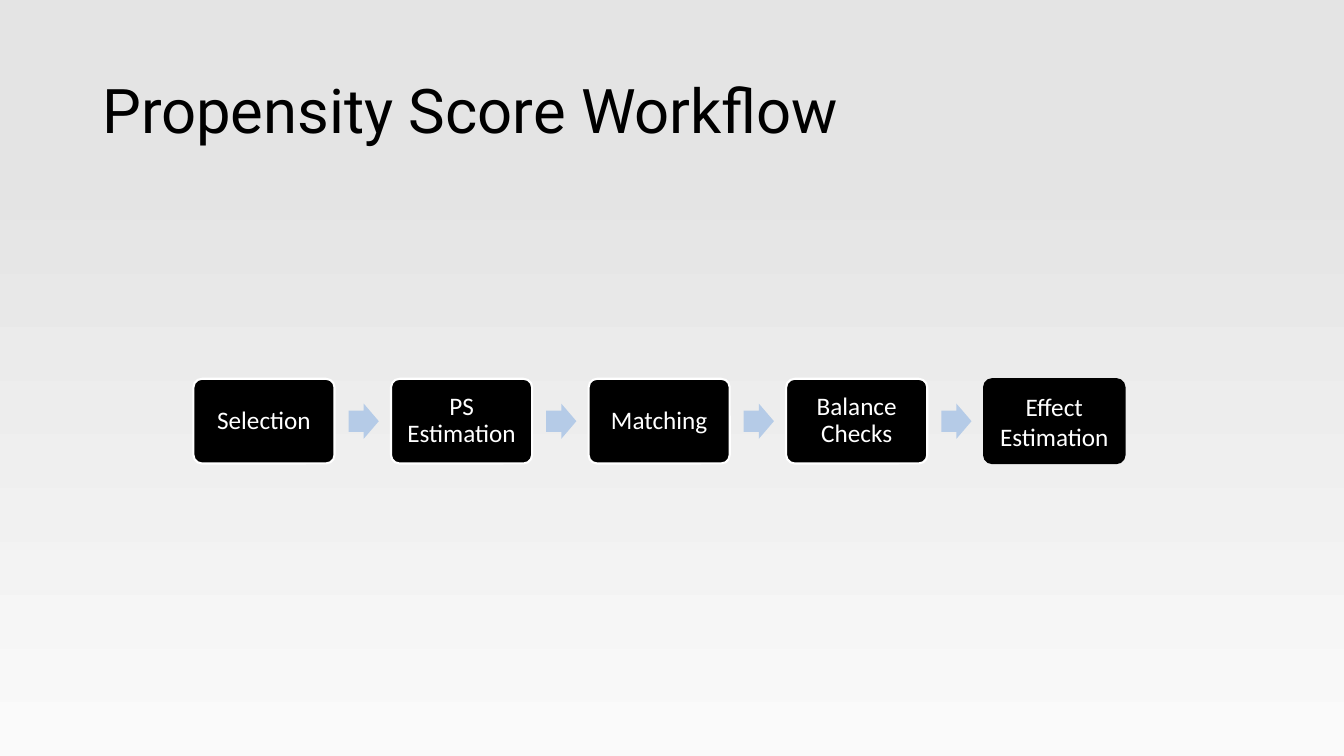
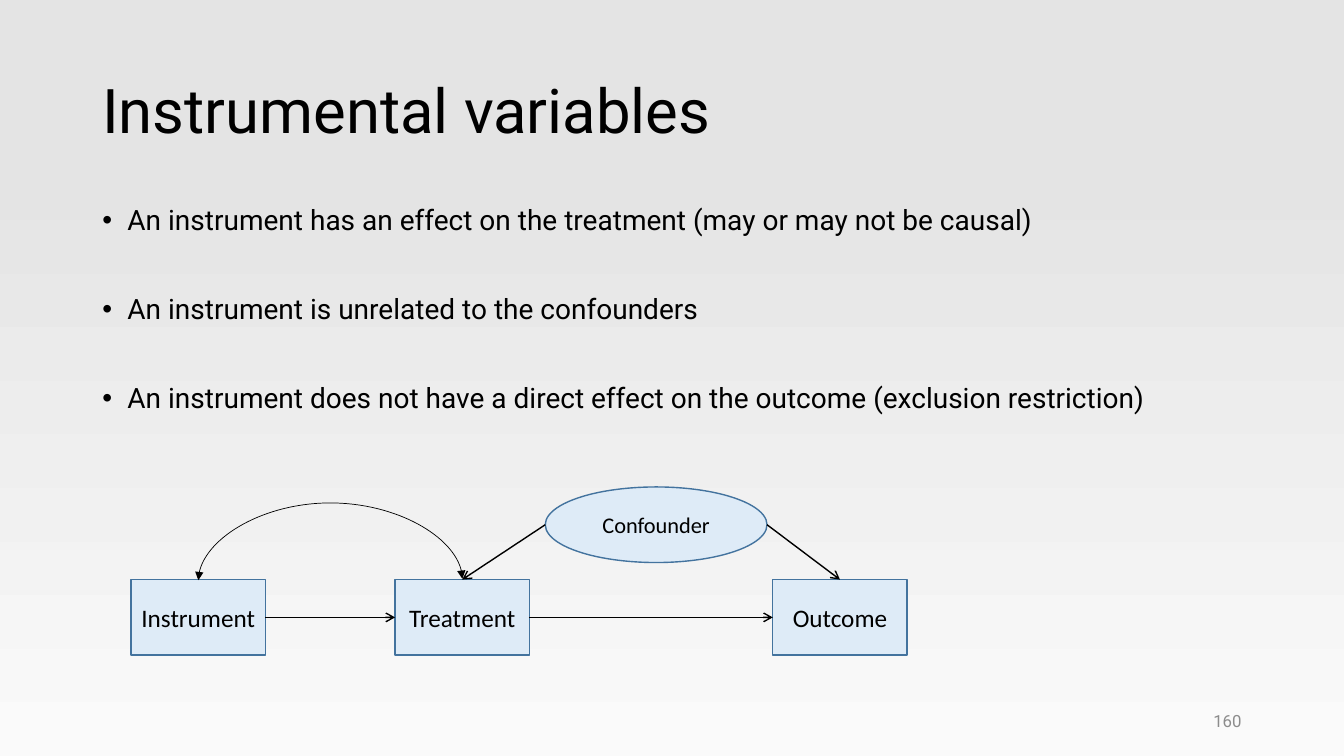
"""Two slides on causal inference: a workflow and a causal diagram."""
from lxml.etree import SubElement
from pptx import Presentation
from pptx.dml.color import RGBColor
from pptx.enum.shapes import MSO_CONNECTOR, MSO_SHAPE
from pptx.enum.text import MSO_ANCHOR, PP_ALIGN
from pptx.oxml.ns import qn
from pptx.util import Pt

BLACK = RGBColor(0x00, 0x00, 0x00)
WHITE = RGBColor(0xFF, 0xFF, 0xFF)
PALE_GREY = RGBColor(0xFA, 0xFA, 0xFA)
MIST_GREY = RGBColor(0xE4, 0xE4, 0xE4)
NUMBER_GREY = RGBColor(0x8C, 0x8C, 0x8C)
ARROW_BLUE = RGBColor(0xB5, 0xCB, 0xE7)
NODE_FILL = RGBColor(0xDE, 0xEB, 0xF7)
NODE_LINE = RGBColor(0x43, 0x73, 0x9E)
SLIDE_FONT = "Roboto"
SHAPE_FONT = "Calibri"

TITLE_BOX = (66, 28.8, 828, 104.4)
BODY_BOX = (66, 144, 828, 342.7)
NUMBER_BOX = (678, 500.5, 216, 28.8)
WORKFLOW_BOX = (138.2, 270.6, 665.3, 60.5)
DIAGRAM_BOX = (93.6, 347.8, 554.4, 120.2)

STEPS = ["Selection", "PS Estimation", "Matching", "Balance\vChecks", "Effect Estimation"]
BULLETS = [
    "An instrument has an effect on the treatment (may or may not be causal)",
    "An instrument is unrelated to the confounders",
    "An instrument does not have a direct effect on the outcome (exclusion restriction)",
]


def points(*lengths):
    """Turn numbers into point lengths."""
    return [Pt(length) for length in lengths]


def style_para(para, size, font, colour, align=PP_ALIGN.LEFT, spacing=1.0):
    """Set the type, alignment and line spacing of one paragraph."""
    para.alignment = align
    para.line_spacing = spacing
    para.font.size = Pt(size)
    para.font.name = font
    para.font.color.rgb = colour


def add_text(page, box, text, size, colour=BLACK, align=PP_ALIGN.LEFT, spacing=1.0):
    """Add a vertically centred text box in the slide font."""
    frame = page.shapes.add_textbox(*points(*box)).text_frame
    frame.word_wrap = True
    frame.vertical_anchor = MSO_ANCHOR.MIDDLE
    frame.text = text
    style_para(frame.paragraphs[0], size, SLIDE_FONT, colour, align, spacing)


def add_page(deck, title):
    """Add a page with the shared gradient background and title."""
    page = deck.slides.add_slide(deck.slide_layouts[6])
    fill = page.background.fill
    fill.gradient()
    fill.gradient_angle = 90
    for stop, position, colour in zip(fill.gradient_stops, (0, 0.78), (PALE_GREY, MIST_GREY)):
        stop.position = position
        stop.color.rgb = colour
    add_text(page, TITLE_BOX, title, 44, spacing=0.9)
    return page


def add_block(page, kind, box, fill, line=None, width=1):
    """Add a flat preset shape, outlined when a line colour is given."""
    block = page.shapes.add_shape(kind, *points(*box))
    block.shadow.inherit = False
    block.fill.solid()
    block.fill.fore_color.rgb = fill
    if line is None:
        block.line.fill.background()
    else:
        block.line.color.rgb = line
        block.line.width = Pt(width)
    return block


def label_block(block, text, size, colour, inset, spacing=1.0):
    """Write a centred label inside a shape."""
    frame = block.text_frame
    frame.word_wrap = True
    frame.vertical_anchor = MSO_ANCHOR.MIDDLE
    frame.margin_left = frame.margin_right = Pt(inset)
    frame.margin_top = frame.margin_bottom = Pt(inset)
    frame.text = text
    style_para(frame.paragraphs[0], size, SHAPE_FONT, colour, PP_ALIGN.CENTER, spacing)


def add_link(page, kind, start, end, width, **heads):
    """Add a black connector with the given headEnd and tailEnd types."""
    link = page.shapes.add_connector(kind, *points(*start, *end))
    link.line.color.rgb = BLACK
    link.line.width = Pt(width)
    for tag, head in heads.items():
        SubElement(link.line._get_or_add_ln(), qn(f"a:{tag}"), type=head)
    SubElement(link._element.spPr, qn("a:effectLst"))
    return link


def add_arc(page, start_x, end_x, base, rise):
    """Add a double-headed curve that rises above a base line."""
    span, middle = end_x - start_x, (start_x + end_x) / 2
    arc = add_link(page, MSO_CONNECTOR.CURVE, (middle - 0.5, base - span / 2),
                   (middle + 0.5, base + span / 2), 0.5, headEnd="triangle", tailEnd="triangle")
    properties = arc._element.spPr
    frame = properties.find(qn("a:xfrm"))
    for key, value in (("rot", "5400000"), ("flipH", "1"), ("flipV", "1")):
        frame.set(key, value)
    adjustments = properties.find(qn("a:prstGeom")).find(qn("a:avLst"))
    SubElement(adjustments, qn("a:gd"), name="adj1", fmla=f"val {round(rise * 100000)}")


def add_workflow(page, box, steps):
    """Spread the steps over the box and put an arrow in each gap."""
    left, top, width, height = box
    step_width, arrow_width, arrow_height = 100.8, 21.6, 25.2
    pitch = (width - step_width) / (len(steps) - 1)
    last = len(steps) - 1
    for index, step in enumerate(steps):
        x = left + index * pitch
        line, weight, spacing = (BLACK, 1, 1.0) if index == last else (WHITE, 1.5, 0.9)
        block = add_block(page, MSO_SHAPE.ROUNDED_RECTANGLE, (x, top, step_width, height),
                          BLACK, line, weight)
        block.adjustments[0] = 0.1
        label_block(block, step, 18, WHITE, 5.4, spacing)
        if index < last:
            arrow_box = (x + step_width + 10, top + (height - arrow_height) / 2,
                         arrow_width, arrow_height)
            arrow = add_block(page, MSO_SHAPE.RIGHT_ARROW, arrow_box, ARROW_BLUE)
            arrow.adjustments[0] = 0.6


def add_bullets(page, box, bullets):
    """Add widely spaced bullet points."""
    frame = page.shapes.add_textbox(*points(*box)).text_frame
    frame.word_wrap = True
    for index, bullet in enumerate(bullets):
        para = frame.add_paragraph() if index else frame.paragraphs[0]
        para.text = bullet
        properties = para._p.get_or_add_pPr()
        properties.set("marL", str(Pt(18)))
        properties.set("indent", str(-Pt(18)))
        SubElement(properties, qn("a:buFont"), typeface="Arial")
        SubElement(properties, qn("a:buChar"), char="•")
        style_para(para, 20, SLIDE_FONT, BLACK, spacing=0.9)
        if index:
            para.space_before = Pt(42)


def add_diagram(page, box):
    """Draw the instrument, treatment, outcome and confounder with their links."""
    left, top, width, height = box
    node_width, node_height, oval_width = 96, 54, 158.4
    node_top = top + height - node_height
    offsets = {"Instrument": 0, "Treatment": 188.6, "Outcome": width - node_width}
    nodes, centres = {}, {}
    for name, offset in offsets.items():
        nodes[name] = add_block(page, MSO_SHAPE.RECTANGLE,
                                (left + offset, node_top, node_width, node_height),
                                NODE_FILL, NODE_LINE)
        label_block(nodes[name], name, 18, BLACK, 3.6)
        centres[name] = left + offset + node_width / 2

    oval_left = (centres["Treatment"] + centres["Outcome"] - oval_width) / 2 + 3.6
    oval = add_block(page, MSO_SHAPE.OVAL, (oval_left, top, oval_width, node_height),
                     NODE_FILL, NODE_LINE)
    label_block(oval, "Confounder", 16, BLACK, 3.6)

    for source, target in (("Instrument", "Treatment"), ("Treatment", "Outcome")):
        link = add_link(page, MSO_CONNECTOR.STRAIGHT, (0, 0), (0, 0), 1, tailEnd="arrow")
        link.begin_connect(nodes[source], 3)
        link.end_connect(nodes[target], 1)
    for target, x in (("Treatment", oval_left), ("Outcome", oval_left + oval_width)):
        link = add_link(page, MSO_CONNECTOR.STRAIGHT, (x, top + node_height / 2),
                        (centres[target], node_top), 1, tailEnd="arrow")
        link.end_connect(nodes[target], 0)
    add_arc(page, centres["Instrument"], centres["Treatment"], node_top, 55.67)


def main():
    """Build and save the deck."""
    deck = Presentation()
    deck.slide_width, deck.slide_height = points(960, 540)
    workflow = add_page(deck, "Propensity Score Workflow")
    add_workflow(workflow, WORKFLOW_BOX, STEPS)
    variables = add_page(deck, "Instrumental variables")
    add_bullets(variables, BODY_BOX, BULLETS)
    add_text(variables, NUMBER_BOX, "160", 12, NUMBER_GREY, PP_ALIGN.RIGHT)
    add_diagram(variables, DIAGRAM_BOX)
    deck.save("out.pptx")


if __name__ == "__main__":
    main()
